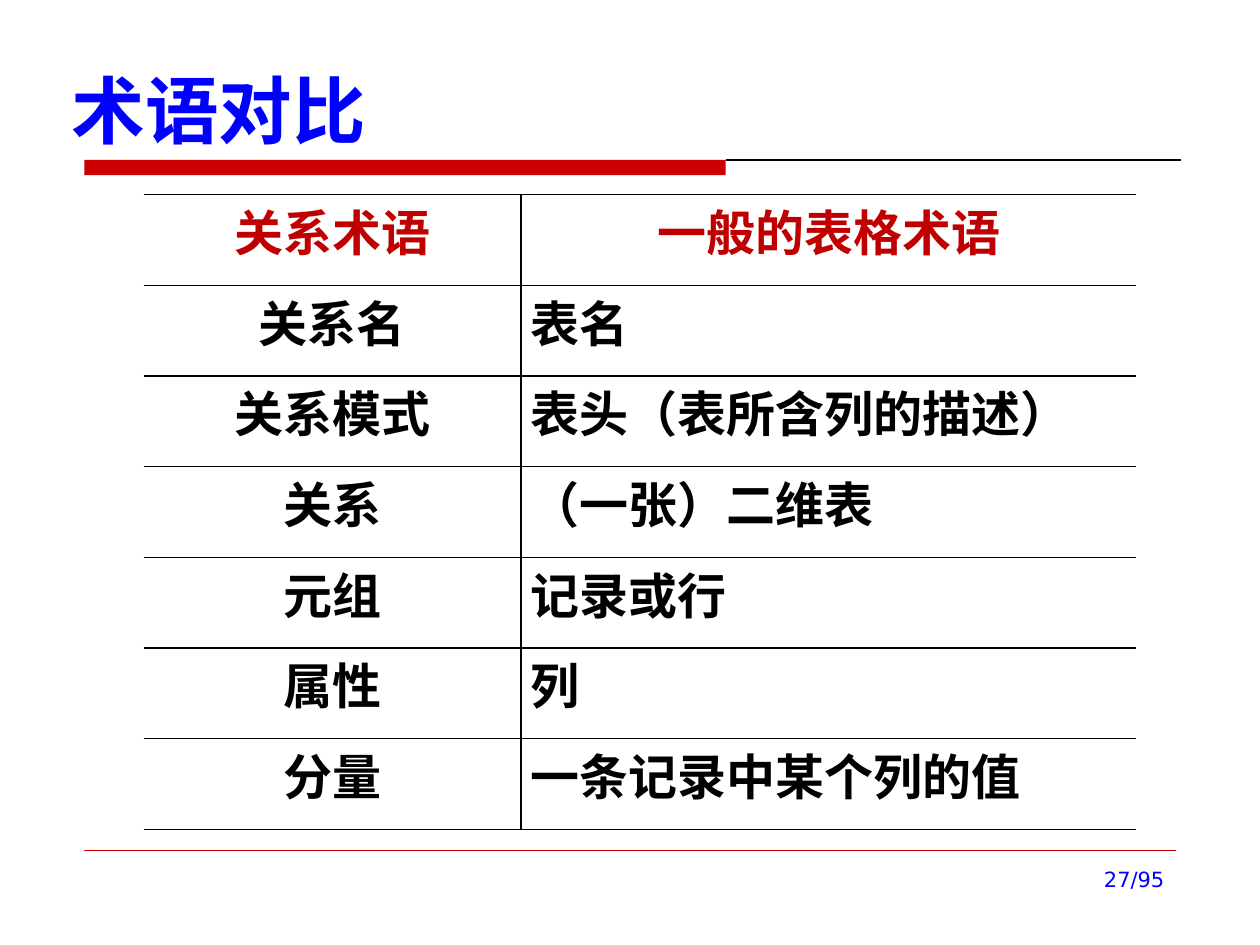
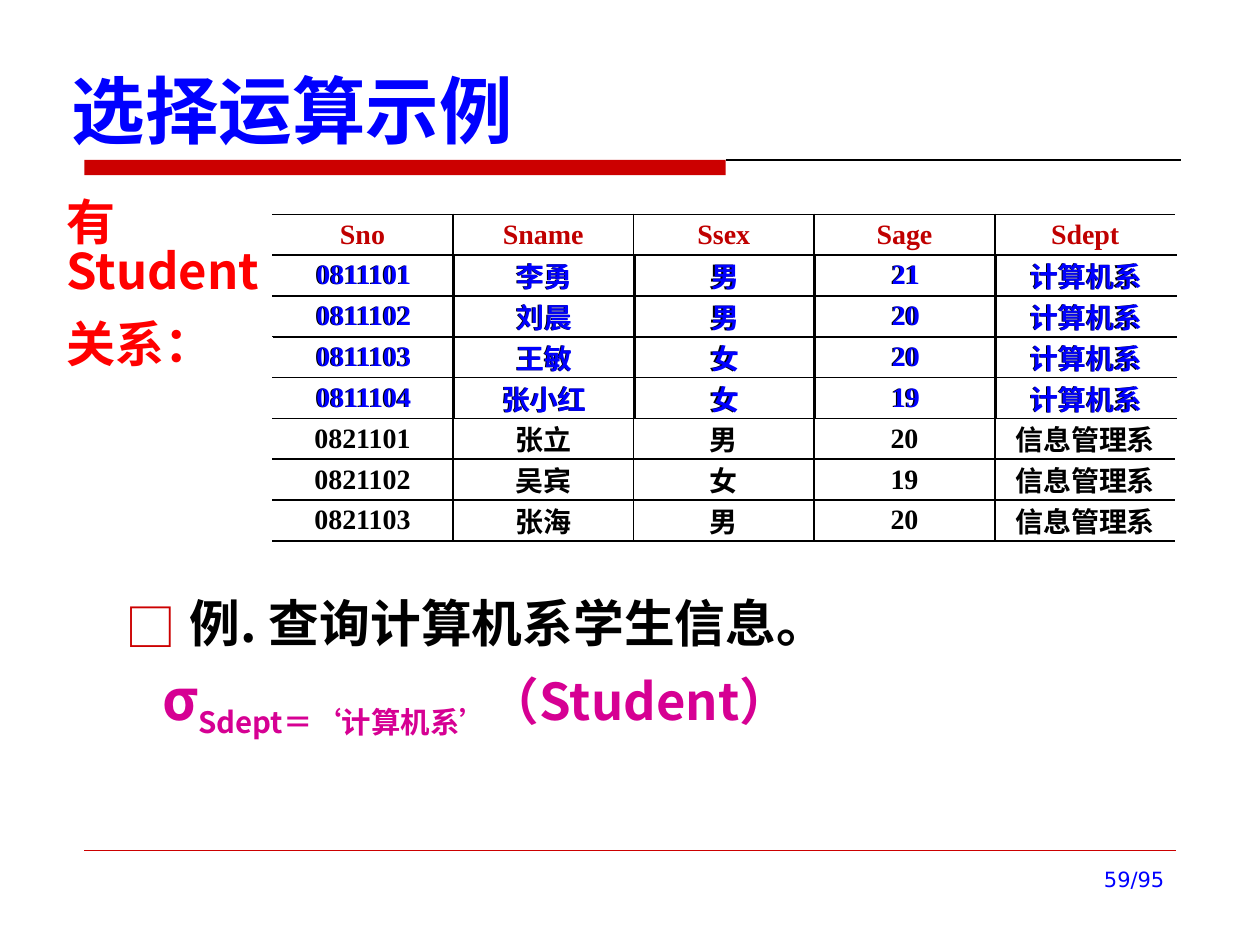
"""Build two lecture slides on relational terms and the selection operation."""
from lxml import etree
from pptx import Presentation
from pptx import util as u
from pptx.dml.color import RGBColor
from pptx.enum import shapes, text
from pptx.oxml import ns

WIDTH, HEIGHT = u.Inches(10), u.Inches(7.5)
COLORS = {
    "title": "0000FF", "rule": "CC0000", "ink": "000000", "header": "C00000",
    "caption": "FF0000", "match": "0000FF", "formula": "D60093",
}
SANS, SERIF, FOOTER_FONT = "Noto Sans CJK SC", "Times New Roman", "DejaVu Sans"
LEFT, CENTER, RIGHT = text.PP_ALIGN.LEFT, text.PP_ALIGN.CENTER, text.PP_ALIGN.RIGHT
PAGES = 95

TERMS = [
    ("关系术语", "一般的表格术语"),
    ("关系名", "表名"),
    ("关系模式", "表头（表所含列的描述）"),
    ("关系", "（一张）二维表"),
    ("元组", "记录或行"),
    ("属性", "列"),
    ("分量", "一条记录中某个列的值"),
]
STUDENTS = [
    ("Sno", "Sname", "Ssex", "Sage", "Sdept"),
    ("0811101", "李勇", "男", "21", "计算机系"),
    ("0811102", "刘晨", "男", "20", "计算机系"),
    ("0811103", "王敏", "女", "20", "计算机系"),
    ("0811104", "张小红", "女", "19", "计算机系"),
    ("0821101", "张立", "男", "20", "信息管理系"),
    ("0821102", "吴宾", "女", "19", "信息管理系"),
    ("0821103", "张海", "男", "20", "信息管理系"),
]


def across(percent):
    """Return a share of the slide width."""
    return u.Emu(round(WIDTH * percent / 100))


def down(percent):
    """Return a share of the slide height."""
    return u.Emu(round(HEIGHT * percent / 100))


def place(left, top, width, height):
    """Turn percentages of the slide into a position and size."""
    return across(left), down(top), across(width), down(height)


def apply(target, formats):
    """Set every attribute named in a dict of format values."""
    for name, value in formats.items():
        setattr(target, name, value)


def add_run(paragraph, words, size, color, font=SANS, bold=True, baseline=0):
    """Append one run of formatted text."""
    run = paragraph.add_run()
    run.text = words
    apply(run.font, {"size": u.Pt(size), "bold": bold, "name": font})
    run.font.color.rgb = RGBColor.from_string(COLORS[color])
    properties = run.font._element
    east_asian = SANS if font == SERIF else font
    etree.SubElement(properties, ns.qn("a:ea"), typeface=east_asian)
    if baseline:
        properties.set("baseline", str(baseline * 1000))


def add_text(slide, box, lines, anchor=text.MSO_ANCHOR.TOP, **formats):
    """Add a wrapped text box whose lines are lists of run settings."""
    frame = slide.shapes.add_textbox(*place(*box)).text_frame
    apply(frame, {"word_wrap": True, "vertical_anchor": anchor})
    for number, runs in enumerate(lines):
        paragraph = frame.add_paragraph() if number else frame.paragraphs[0]
        apply(paragraph, formats)
        for run in runs:
            add_run(paragraph, **run)
    return frame


def add_rule(slide, start, end, top, color, weight):
    """Draw a horizontal hairline."""
    rule = slide.shapes.add_connector(
        shapes.MSO_CONNECTOR.STRAIGHT, across(start), down(top), across(end), down(top))
    rule.line.color.rgb = RGBColor.from_string(COLORS[color])
    rule.line.width = u.Pt(weight)
    etree.SubElement(rule._element.spPr, ns.qn("a:effectLst"))


def border_cell(cell, sides):
    """Draw black one-point borders on the given sides and none elsewhere."""
    properties = cell._tc.get_or_add_tcPr()
    for position, side in enumerate("LRTB"):
        border = etree.Element(ns.qn(f"a:ln{side}"), w=str(u.Pt(1)))
        if side in sides:
            fill = etree.SubElement(border, ns.qn("a:solidFill"))
            etree.SubElement(fill, ns.qn("a:srgbClr"), val=COLORS["ink"])
        else:
            etree.SubElement(border, ns.qn("a:noFill"))
        properties.insert(position, border)


def add_grid(slide, rows, box, shares, size, inset, anchor, spacing=0,
             aligns=None, header=True, color="ink"):
    """Add an open-sided table with column widths given as shares."""
    count = len(shares)
    table = slide.shapes.add_table(len(rows), count, *place(*box)).table
    apply(table, {"first_row": False, "horz_banding": False})
    for column, share in zip(table.columns, shares):
        column.width = across(box[2] * share / sum(shares))
    for r, row in enumerate(rows):
        is_header = header and r == 0
        for c, words in enumerate(row):
            cell = table.cell(r, c)
            apply(cell, {
                "margin_left": u.Inches(inset), "margin_right": u.Inches(inset),
                "margin_top": 0, "margin_bottom": 0, "vertical_anchor": anchor})
            cell.fill.background()
            border_cell(cell, "TB" + "L" * (c > 0) + "R" * (c < count - 1))
            paragraph = cell.text_frame.paragraphs[0]
            apply(paragraph, {
                "alignment": CENTER if is_header or not aligns else aligns[c],
                "space_before": u.Pt(spacing), "space_after": u.Pt(spacing)})
            add_run(paragraph, words, size, "header" if is_header else color, SERIF)


def add_page(deck, title, number):
    """Add a blank slide with the shared title, band, rules and page number."""
    slide = deck.slides.add_slide(deck.slide_layouts[6])
    band = slide.shapes.add_shape(
        shapes.MSO_SHAPE.RECTANGLE, *place(6.7, 16.93, 50.9, 1.6))
    band.shadow.inherit = False
    band.fill.solid()
    band.fill.fore_color.rgb = RGBColor.from_string(COLORS["rule"])
    band.line.fill.background()
    add_rule(slide, 57.6, 93.7, 16.93, "ink", 0.75)
    add_rule(slide, 6.7, 93.3, 90, "rule", 0.25)
    heading = add_text(slide, (4.7, 4.4, 80.4, 12),
                       [[dict(words=title, size=42, color="title")]],
                       text.MSO_ANCHOR.BOTTOM)
    heading.margin_bottom = u.Inches(0.01)
    add_text(slide, (71.7, 91.07, 21.7, 6.93),
             [[dict(words=f"{number}/{PAGES}", size=12, color="title",
                    font=FOOTER_FONT, bold=False)]], alignment=RIGHT)
    return slide


def indent(paragraph, margin, first, bullet=None):
    """Set the indents of a paragraph and an optional coloured bullet."""
    properties = paragraph._p.get_or_add_pPr()
    properties.set("marL", str(u.Inches(margin)))
    properties.set("indent", str(u.Inches(first)))
    if bullet:
        color = etree.SubElement(properties, ns.qn("a:buClr"))
        etree.SubElement(color, ns.qn("a:srgbClr"), val=COLORS["rule"])
        etree.SubElement(properties, ns.qn("a:buFont"), typeface=SANS)
        etree.SubElement(properties, ns.qn("a:buChar"), char=bullet)


def add_query(slide):
    """Add the example question and its relational algebra answer."""
    condition = [("Sdept＝", SANS), ("‘", SERIF), ("计算机系", SANS), ("’", SERIF)]
    formula = [dict(words="σ", size=32, color="formula")]
    formula += [dict(words=words, size=29, color="formula", font=font, baseline=-25)
                for words, font in condition]
    formula.append(dict(words="（Student）", size=29, color="formula"))
    question = [dict(words="例. 查询计算机系学生信息。", size=29, color="ink")]
    frame = add_text(slide, (9, 62.53, 85.3, 24.4), [question, formula],
                     line_spacing=0.94, space_before=u.Pt(6))
    indent(frame.paragraphs[0], 0.51, -0.51, "□")
    indent(frame.paragraphs[1], 0.51, -0.22)


def main():
    """Build and save the deck."""
    deck = Presentation()
    apply(deck, {"slide_width": WIDTH, "slide_height": HEIGHT})

    comparison = add_page(deck, "术语对比", 27)
    add_grid(comparison, TERMS, (11.4, 20.6, 78.8, 67.2), (2.99, 4.88), 28, 0.08,
             text.MSO_ANCHOR.TOP, spacing=1.6, aligns=(CENTER, LEFT))

    selection = add_page(deck, "选择运算示例", 59)
    add_query(selection)
    add_text(selection, (4.3, 20.67, 20.5, 16.93),
             [[dict(words=words, size=28, color="caption")]
              for words in ("有Student", "关系：")],
             line_spacing=0.83, space_before=u.Pt(14))
    row_height = 34.6 / len(STUDENTS)
    student_style = dict(shares=(1,) * 5, size=16, inset=0.07,
                         anchor=text.MSO_ANCHOR.MIDDLE)
    add_grid(selection, STUDENTS, (21.6, 22.67, 71.7, 34.6), **student_style)
    matches = [row for row in STUDENTS if row[-1] == "计算机系"]
    add_grid(selection, matches, (21.7, 22.67 + row_height, 71.7, row_height * len(matches)),
             header=False, color="match", **student_style)
    deck.save("out.pptx")


if __name__ == "__main__":
    main()
